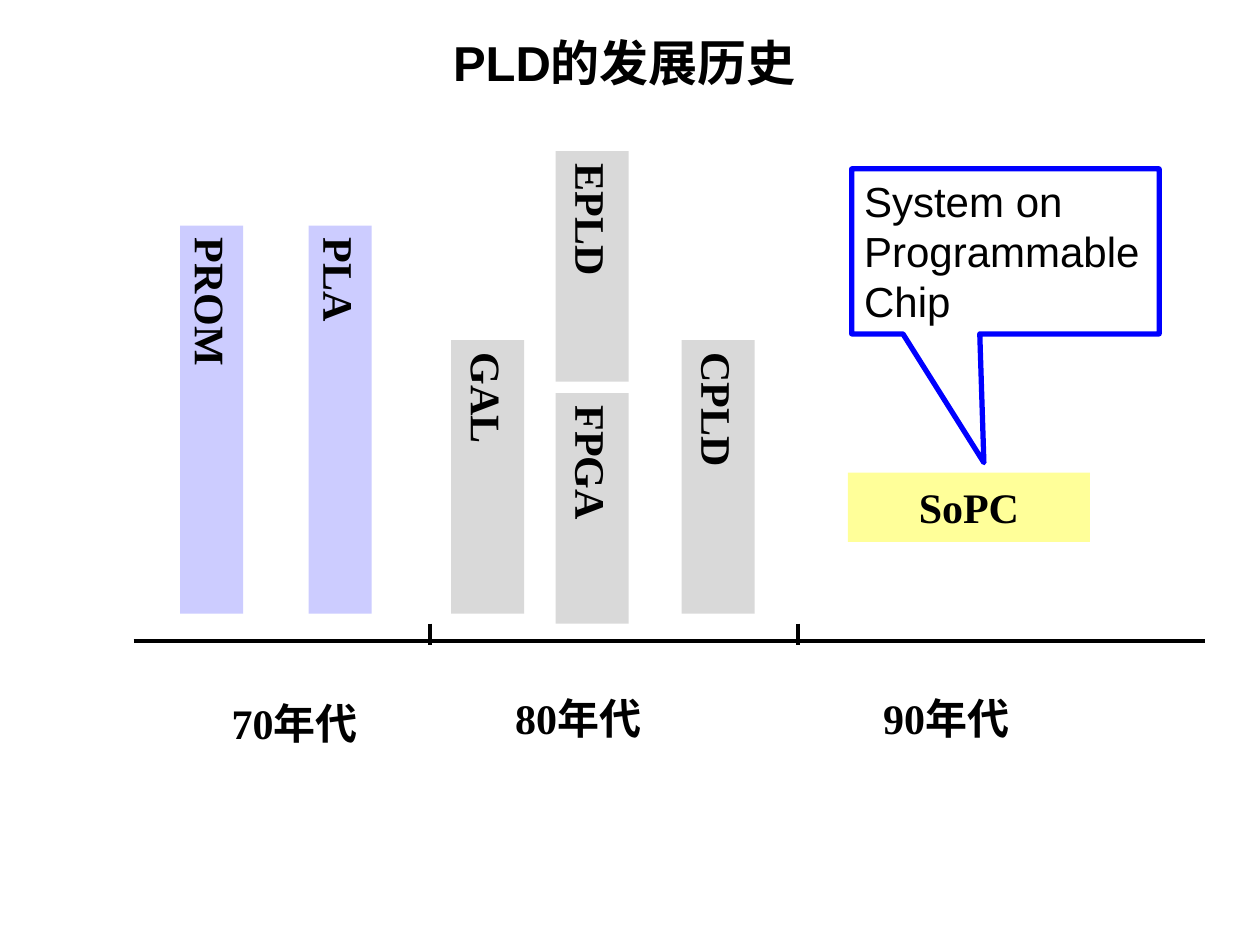
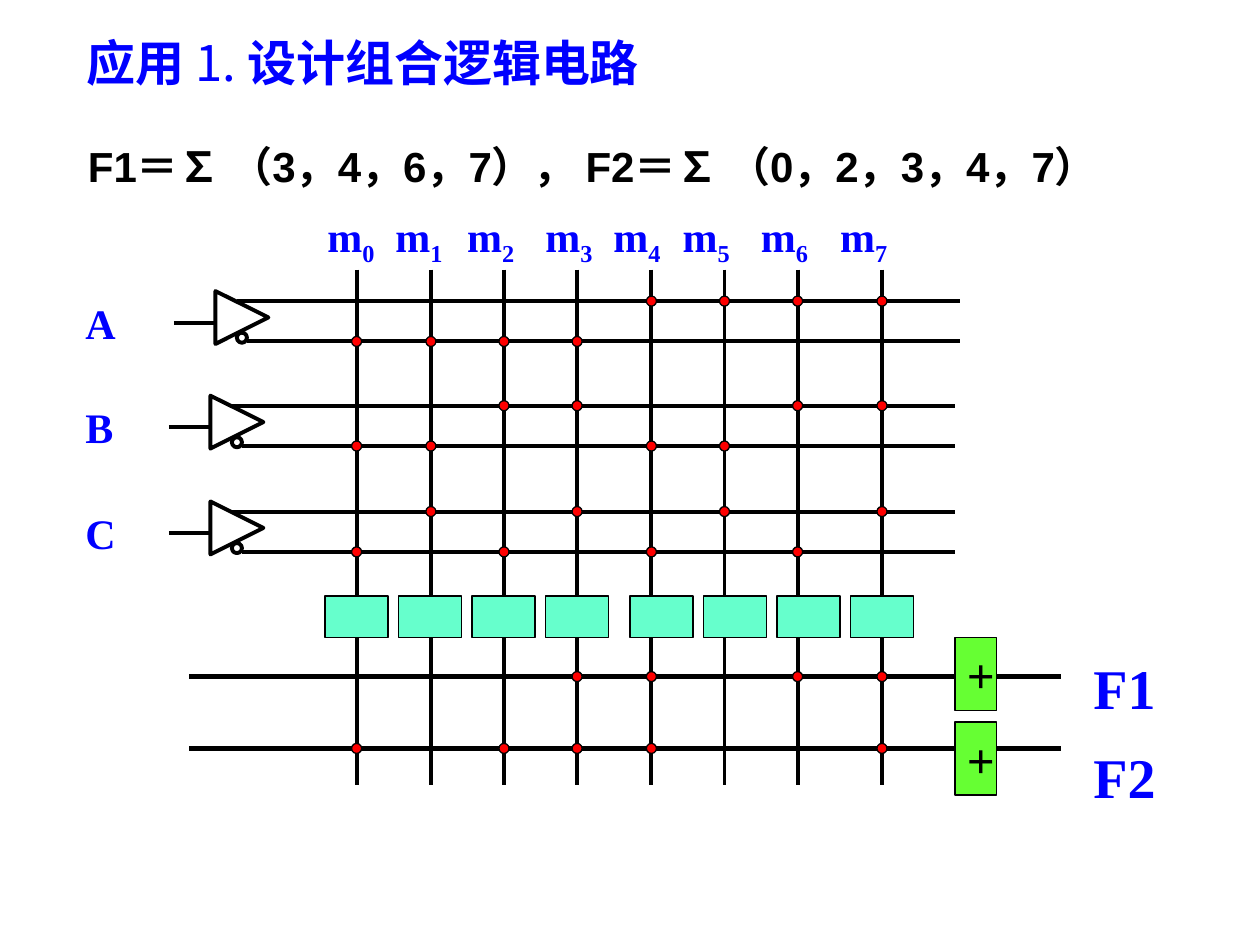
from lxml import etree
from pptx import Presentation
from pptx.dml.color import RGBColor
from pptx.enum.shapes import MSO_CONNECTOR, MSO_SHAPE
from pptx.enum.text import MSO_ANCHOR, PP_ALIGN
from pptx.oxml.ns import qn
from pptx.util import Inches, Pt

STRAIGHT = MSO_CONNECTOR.STRAIGHT
RECT, OVAL = MSO_SHAPE.RECTANGLE, MSO_SHAPE.OVAL
TRIANGLE = MSO_SHAPE.ISOSCELES_TRIANGLE
CALLOUT = MSO_SHAPE.RECTANGULAR_CALLOUT
LEFT, CENTER = PP_ALIGN.LEFT, PP_ALIGN.CENTER
TOP, MIDDLE = MSO_ANCHOR.TOP, MSO_ANCHOR.MIDDLE

SERIF, SANS, HAN = "Times New Roman", "Arial", "Noto Sans CJK SC"
COLORS = {
    "black": "000000", "blue": "0000FF", "red": "FF0000",
    "gray": "D9D9D9", "lilac": "CCCCFF", "yellow": "FFFF99",
    "mint": "66FFCC", "green": "66FF33",
}

# Slide 1: label, left, top, width, height, color
BARS = [
    ("PROM", 1.43, 1.79, 0.5, 3.08, "lilac"),
    ("PLA", 2.45, 1.79, 0.5, 3.08, "lilac"),
    ("GAL", 3.58, 2.7, 0.58, 2.17, "gray"),
    ("EPLD", 4.41, 1.2, 0.58, 1.83, "gray"),
    ("FPGA", 4.41, 3.12, 0.58, 1.83, "gray"),
    ("CPLD", 5.41, 2.7, 0.58, 2.17, "gray"),
]
DECADES = [("70年代", 1.74, 5.49), ("80年代", 3.99, 5.45), ("90年代", 6.91, 5.45)]

# Slide 2
TERMS = [2.83, 3.42, 4, 4.58, 5.17, 5.75, 6.33, 7]
LABELS = [2.5, 3.04, 3.61, 4.23, 4.77, 5.32, 5.94, 6.57]
INPUTS = [("A", 1.71, 2.31), ("B", 1.67, 3.14), ("C", 1.67, 3.98)]
# name, wire height, label top, adder top, minterms
OUTPUTS = [
    ("F1", 5.37, 5.14, 5.06, (3, 4, 6, 7)),
    ("F2", 5.94, 5.84, 5.73, (0, 2, 3, 4, 7)),
]


def rgb(name):
    return RGBColor.from_string(COLORS[name])


def style(para, size, color="black", font=SERIF, bold=True, align=LEFT):
    para.alignment = align
    para.font.size = Pt(size)
    para.font.name = font
    para.font.bold = bold
    para.font.color.rgb = rgb(color)


def write(shape, text, size, anchor=TOP, wrap=True, **look):
    frame = shape.text_frame
    frame.word_wrap = wrap
    frame.vertical_anchor = anchor
    para = frame.paragraphs[0]
    para.text = text
    style(para, size, **look)
    return para


def add_text(slide, box, text, size, **look):
    return write(slide.shapes.add_textbox(*map(Inches, box)), text, size, **look)


def add_shape(slide, kind, box, fill=None, line=None, width=0.75):
    shape = slide.shapes.add_shape(kind, *map(Inches, box))
    shape.shadow.inherit = False
    if fill:
        shape.fill.solid()
        shape.fill.fore_color.rgb = rgb(fill)
    else:
        shape.fill.background()
    if line:
        shape.line.color.rgb = rgb(line)
        shape.line.width = Pt(width)
    else:
        shape.line.fill.background()
    return shape


def add_line(slide, x1, y1, x2, y2, width=2.25):
    line = slide.shapes.add_connector(STRAIGHT, *map(Inches, (x1, y1, x2, y2)))
    line.line.color.rgb = rgb("black")
    line.line.width = Pt(width)
    etree.SubElement(line._element.spPr, qn("a:effectLst"))


def add_dot(slide, x, y):
    add_shape(slide, OVAL, (x - 0.04, y - 0.04, 0.08, 0.08), "red", "black")


def add_bar(slide, text, x, y, w, h, color):
    """Box whose text runs from top to bottom."""
    bar = add_shape(slide, RECT, (x, y, w, h), color)
    write(bar, text, 24, anchor=MIDDLE)
    bar.text_frame._txBody.bodyPr.set("vert", "eaVert")


def add_input(slide, name, x, y):
    """Buffer with a true and an inverted wire."""
    add_text(slide, (0.58, y, 0.67, 0.5), name, 24, color="blue")
    gate = add_shape(slide, TRIANGLE, (x, y, 0.42, 0.42), None, "black", 2.25)
    gate.rotation = 90
    add_shape(slide, OVAL, (x + 0.17, y + 0.33, 0.08, 0.08), None, "black", 2.25)
    end = x + 5.91
    add_line(slide, x + 0.17, y + 0.08, end, y + 0.08)
    add_line(slide, x + 0.25, y + 0.4, end, y + 0.4)
    add_line(slide, x - 0.33, y + 0.25, x, y + 0.25)


def add_term(slide, num, x, left):
    """Column of one minterm, with its label."""
    para = add_text(slide, (left, 1.62, 0.6, 0.5), "m", 24, color="blue")
    sub = para.add_run()
    sub.text = str(num)
    sub._r.get_or_add_rPr().set("baseline", "-25000")
    add_line(slide, x, 2.14, x, 6.23)


def add_output(slide, name, y, top, adder):
    add_line(slide, 1.5, y, 8.42, y, 3)
    add_text(slide, (8.58, top, 0.75, 0.63), name, 32, color="blue")
    box = add_shape(slide, RECT, (7.58, adder, 0.33, 0.58), "green", "black")
    frame = box.text_frame
    frame.margin_left, frame.margin_right = Inches(0.08), 0
    write(box, "+", 28, anchor=MIDDLE, wrap=False, align=CENTER)


def build_history(slide):
    add_text(slide, (2.17, 0.21, 5.57, 0.57), "PLD的发展历史", 28,
             font=SANS, align=CENTER)
    add_line(slide, 1.06, 5.09, 9.56, 5.09)
    for x in (3.41, 6.33):
        add_line(slide, x, 4.95, x, 5.12)
    for text, x, y in DECADES:
        add_text(slide, (x, y, 1.58, 0.5), text, 24)
    for bar in BARS:
        add_bar(slide, *bar)
    chip = add_shape(slide, RECT, (6.73, 3.75, 1.92, 0.55), "yellow")
    write(chip, "SoPC", 24, anchor=MIDDLE, wrap=False, align=CENTER)
    note = add_shape(slide, CALLOUT, (6.76, 1.34, 2.44, 1.31), None, "blue", 3)
    note.adjustments[0] = -0.07
    note.adjustments[1] = 1.28
    write(note, "System on Programmable Chip", 24, font=SANS, bold=False)


def build_logic(slide):
    head = add_text(slide, (0.59, 0.21, 7.64, 0.57), "应用 ", 28,
                    color="blue", font=HAN)
    for text, bold in (("1. ", False), ("设计组合逻辑电路", True)):
        run = head.add_run()
        run.text = text
        run.font.bold = bold
    sums = add_text(slide, (0.51, 1.07, 9.06, 0.5),
                    "F1＝∑ （3，4，6，7）， F2＝∑ （0，2，3，4，7）", 24, font=SANS)
    sums._p.get_or_add_pPr().set("indent", str(Inches(0.09)))

    for entry in INPUTS:
        add_input(slide, *entry)
    for name, y, top, adder, _ in OUTPUTS:
        add_output(slide, name, y, top, adder)
    for num, (x, left) in enumerate(zip(TERMS, LABELS)):
        add_term(slide, num, x, left)
    for num, x in enumerate(TERMS):
        for bit, (_, _, y) in zip((4, 2, 1), INPUTS):
            add_dot(slide, x, y + (0.08 if num & bit else 0.4))
        for _, y, _, _, terms in OUTPUTS:
            if num in terms:
                add_dot(slide, x, y)
    for start in (2.58, 5):
        for step in range(4):
            cell = (start + step * 1.75 / 3, 4.73, 0.5, 0.33)
            add_shape(slide, RECT, cell, "mint", "black")


def main():
    deck = Presentation()
    deck.slide_width, deck.slide_height = Inches(10), Inches(7.5)
    blank = deck.slide_layouts[6]
    for build in (build_history, build_logic):
        build(deck.slides.add_slide(blank))
    deck.save("out.pptx")


if __name__ == "__main__":
    main()
